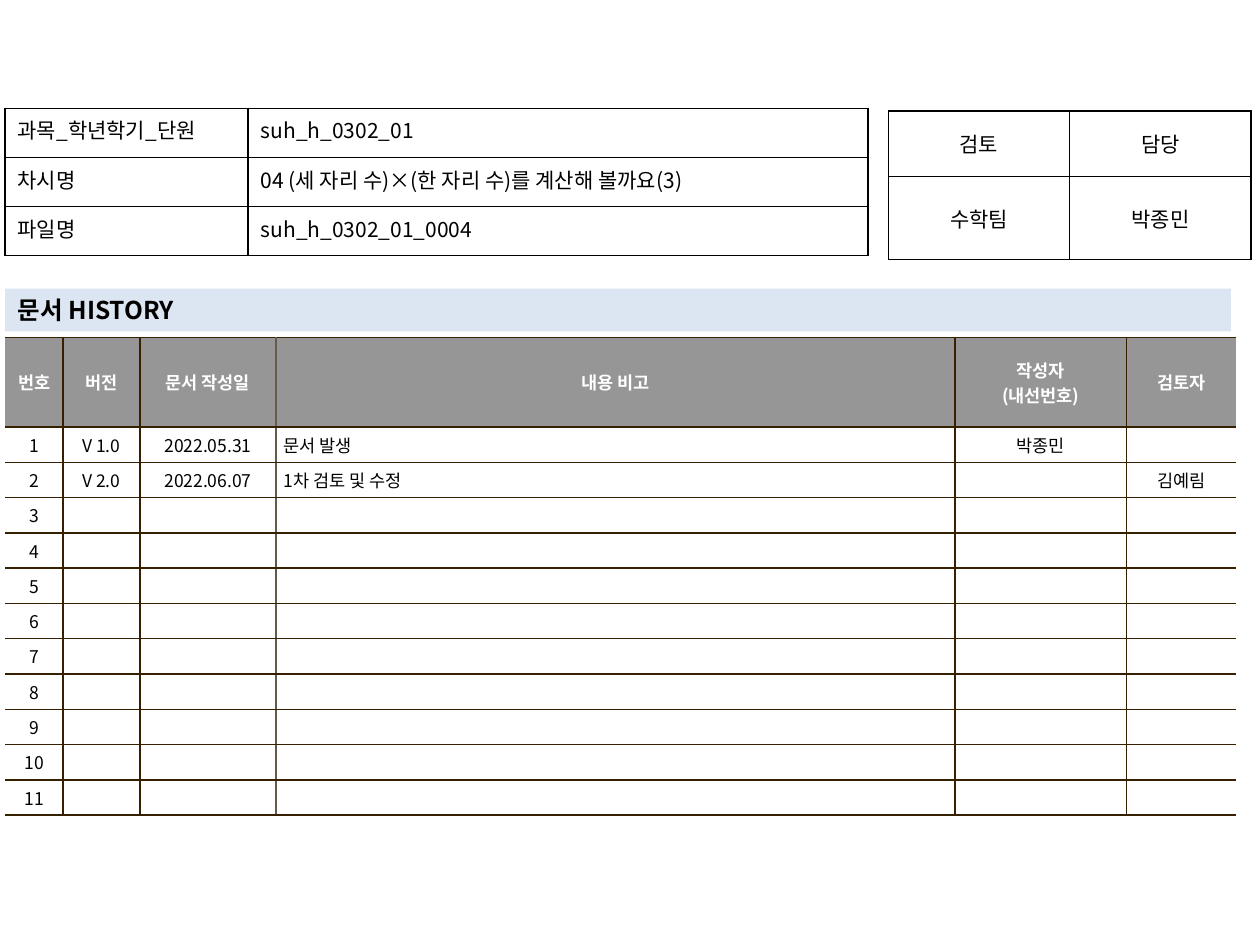
from lxml.etree import SubElement
from pptx import Presentation
from pptx.dml.color import RGBColor
from pptx.enum.text import MSO_ANCHOR as Anchor, MSO_AUTO_SIZE as AutoSize, PP_ALIGN as Align
from pptx.oxml.ns import qn
from pptx.util import Inches, Pt

FONT = "Noto Sans CJK KR"
BLACK = RGBColor(0x00, 0x00, 0x00)
WHITE = RGBColor(0xFF, 0xFF, 0xFF)
GRAY = RGBColor(0x96, 0x96, 0x96)
PALE_BLUE = RGBColor(0xDC, 0xE6, 0xF2)
BROWN = RGBColor(0x36, 0x20, 0x00)
TAUPE = RGBColor(0x64, 0x5B, 0x4C)

LEFT = 0.04
TITLE = "문서 HISTORY"
LESSON = [
    ("과목_학년학기_단원", "suh_h_0302_01"),
    ("차시명", "04 (세 자리 수)×(한 자리 수)를 계산해 볼까요(3)"),
    ("파일명", "suh_h_0302_01_0004"),
]
APPROVAL = [("검토", "담당"), ("수학팀", "박종민")]
HEADINGS = ("번호", "버전", "문서 작성일", "내용 비고", "작성자\n(내선번호)", "검토자")
ENTRIES = [
    ("V 1.0", "2022.05.31", "문서 발생", "박종민", ""),
    ("V 2.0", "2022.06.07", "1차 검토 및 수정", "", "김예림"),
]
ENTRY_COUNT = 11
NOTE_COLUMN = 3


def write(frame, text, size=12, color=BLACK, bold=False, align=Align.LEFT):
    """Fill a text frame with one formatted paragraph per line."""
    for index, line in enumerate(text.split("\n")):
        para = frame.paragraphs[0] if index == 0 else frame.add_paragraph()
        para.alignment = align
        if not line:
            SubElement(para._p, qn("a:endParaRPr"), sz=str(size * 100))
            continue
        span = para.add_run()
        span.text = line
        span.font.name, span.font.size = FONT, Pt(size)
        span.font.bold, span.font.color.rgb = bold, color
        SubElement(span._r.get_or_add_rPr(), qn("a:ea"), typeface=FONT)


def draw_borders(cell, colors):
    """Line the left, right, top and bottom of a cell; None leaves a side open."""
    for side, color in zip("LRTB", colors):
        line = SubElement(cell._tc.get_or_add_tcPr(), qn(f"a:ln{side}"), w=str(Pt(1)))
        if color is None:
            SubElement(line, qn("a:noFill"))
        else:
            fill = SubElement(line, qn("a:solidFill"))
            SubElement(fill, qn("a:srgbClr"), val=str(color))


def add_grid(page, left, top, widths, heights):
    """Add a plain table with the given column widths and row heights."""
    table = page.shapes.add_table(
        len(heights), len(widths), Inches(left), Inches(top),
        Inches(sum(widths)), Inches(sum(heights))).table
    table.first_row = table.horz_banding = False
    for column, width in zip(table.columns, widths):
        column.width = Inches(width)
    for row, height in zip(table.rows, heights):
        row.height = Inches(height)
    return table


def add_form(page, rows, left, top, widths, heights, aligns, anchor):
    """Add a black-lined table without fill."""
    table = add_grid(page, left, top, widths, heights)
    for r, values in enumerate(rows):
        for c, value in enumerate(values):
            cell = table.cell(r, c)
            draw_borders(cell, [BLACK] * 4)
            cell.fill.background()
            cell.vertical_anchor = anchor
            write(cell.text_frame, value, align=aligns[c])


def add_history(page):
    """Add the version table with its heading row and numbered entries."""
    widths = (0.46, 0.61, 1.08, 5.39, 1.36, 0.87)
    table = add_grid(page, LEFT, 2.68, widths, [0.71] + [0.25] * ENTRY_COUNT)
    blanks = [("",) * (len(widths) - 1)] * (ENTRY_COUNT - len(ENTRIES))
    numbered = [(str(n), *entry) for n, entry in enumerate(ENTRIES + blanks, 1)]
    edges = [None, BROWN, BROWN, TAUPE, BROWN, BROWN, None]
    for r, values in enumerate([HEADINGS] + numbered):
        heading = r == 0
        for c, value in enumerate(values):
            cell = table.cell(r, c)
            draw_borders(cell, (edges[c], edges[c + 1], BROWN, BROWN))
            cell.fill.solid()
            cell.fill.fore_color.rgb = GRAY if heading else WHITE
            cell.vertical_anchor = Anchor.MIDDLE
            cell.margin_left = cell.margin_right = Inches(0.06)
            cell.margin_top = cell.margin_bottom = Inches(0.04)
            note = c == NOTE_COLUMN and not heading
            write(cell.text_frame, value, size=10, bold=heading,
                  color=WHITE if heading else BLACK,
                  align=Align.LEFT if note else Align.CENTER)


def add_title(page):
    """Place the title on its pale band."""
    title = page.shapes.title
    title.left, title.top = Inches(LEFT), Inches(2.29)
    title.width, title.height = Inches(9.73), Inches(0.34)
    title.fill.solid()
    title.fill.fore_color.rgb = PALE_BLUE
    title.text_frame.auto_size = AutoSize.NONE
    title.text_frame.vertical_anchor = Anchor.MIDDLE
    write(title.text_frame, TITLE, size=14, bold=True)


def main():
    """Build and save the document history slide."""
    deck = Presentation()
    deck.slide_width, deck.slide_height = Inches(10), Inches(7.5)
    page = deck.slides.add_slide(deck.slide_layouts[5])
    add_title(page)
    add_history(page)
    add_form(page, APPROVAL, 7.05, 0.88, [1.44] * 2, (0.52, 0.66),
             [Align.CENTER] * 2, Anchor.MIDDLE)
    add_form(page, LESSON, LEFT, 0.86, (1.93, 4.92), [0.39] * 3,
             (Align.JUSTIFY, Align.LEFT), Anchor.TOP)
    deck.save("out.pptx")


if __name__ == "__main__":
    main()
